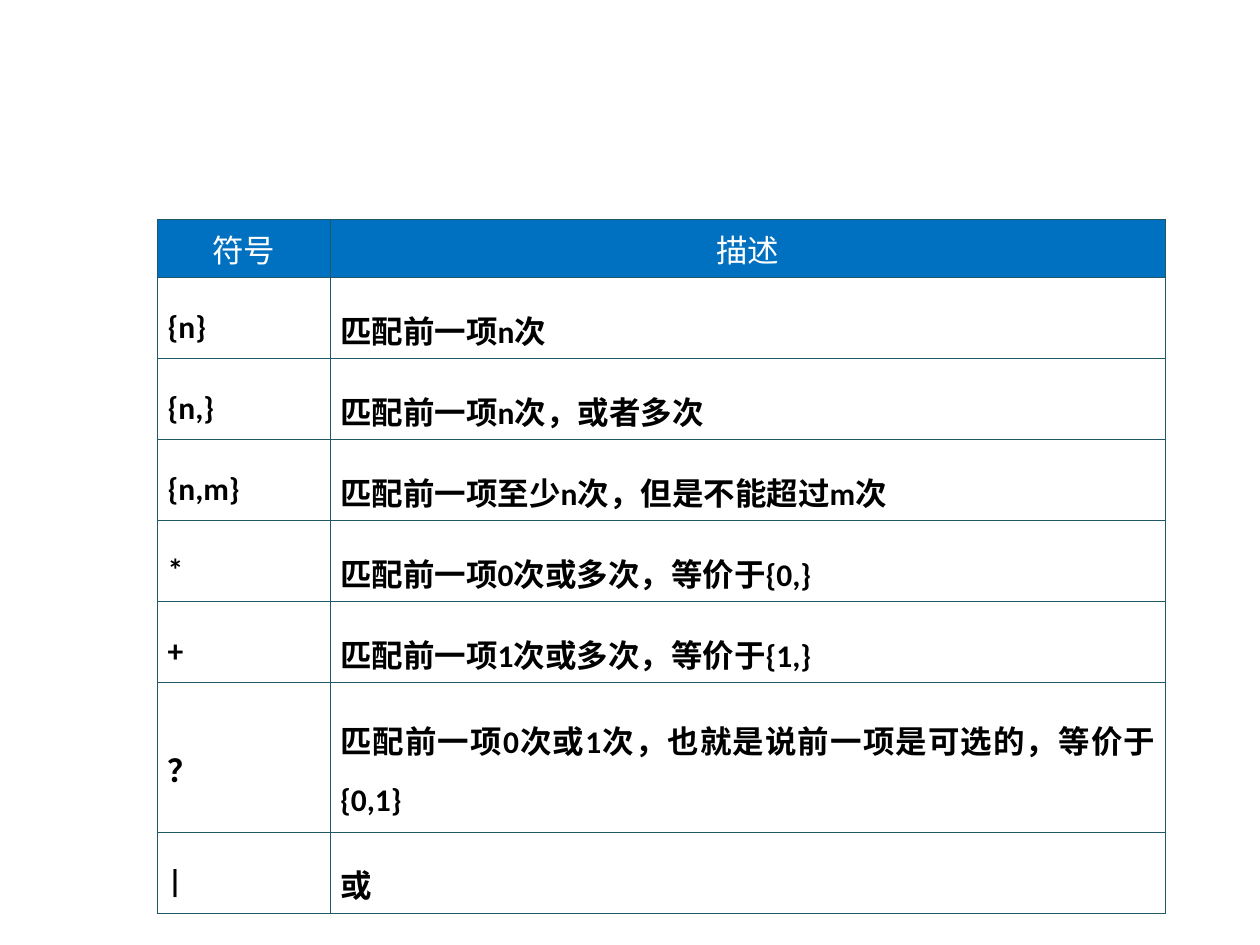
from lxml.etree import SubElement as Sub
from pptx import Presentation
from pptx.dml.color import RGBColor as RGB
from pptx.enum.text import MSO_ANCHOR as Anchor, PP_ALIGN as Align
from pptx.oxml.ns import qn
from pptx.util import Inches, Pt

theme = {
    "font": "Calibri",
    "size": Pt(18),
    "head": RGB.from_string("0070C0"),
    "light": RGB.from_string("FFFFFF"),
    "dark": RGB.from_string("000000"),
    "rule": "205867",
    "width": Pt(0.45),
}

rows = [
    ("符号", "描述"),
    ("{n}", "匹配前一项n次"),
    ("{n,}", "匹配前一项n次，或者多次"),
    ("{n,m}", "匹配前一项至少n次，但是不能超过m次"),
    ("*", "匹配前一项0次或多次，等价于{0,}"),
    ("+", "匹配前一项1次或多次，等价于{1,}"),
    ("？", "匹配前一项0次或1次，也就是说前一项是可选的，等价于{0,1}"),
    ("|", "或"),
]
widths = [1.37, 6.63]
heights = [0.36] + [0.54] * 5 + [1.09, 0.54]

pads = {
    "margin_left": Inches(0.08),
    "margin_right": Inches(0.08),
    "margin_top": Inches(0.05),
    "margin_bottom": Inches(0.05),
}
base = {"name": theme["font"], "size": theme["size"]}
head = {
    "cell": {**pads, "vertical_anchor": Anchor.TOP},
    "para": {"alignment": Align.CENTER, "space_before": Pt(4.5)},
    "font": {**base, "bold": False},
    "color": theme["light"],
}
body = {
    "cell": {**pads, "vertical_anchor": Anchor.MIDDLE},
    "para": {"alignment": Align.JUSTIFY, "line_spacing": 1.5},
    "font": {**base, "bold": True},
    "color": theme["dark"],
}


def style(item, values):
    for name, value in values.items():
        setattr(item, name, value)


def border(cell):
    props = cell._tc.get_or_add_tcPr()
    for side in "LRTB":
        line = Sub(props, qn(f"a:ln{side}"), w=str(theme["width"]))
        fill = Sub(line, qn("a:solidFill"))
        Sub(fill, qn("a:srgbClr"), val=theme["rule"])


deck = Presentation()
deck.slide_width, deck.slide_height = Inches(10), Inches(7.5)
slide = deck.slides.add_slide(deck.slide_layouts[6])
table = slide.shapes.add_table(
    len(rows), len(widths), Inches(1.25), Inches(1.74),
    Inches(sum(widths)), Inches(sum(heights)),
).table
table.horz_banding = False

for col, width in zip(table.columns, widths):
    col.width = Inches(width)

for i, (texts, height) in enumerate(zip(rows, heights)):
    table.rows[i].height = Inches(height)
    look = body if i else head
    for j, text in enumerate(texts):
        cell = table.cell(i, j)
        style(cell, look["cell"])
        border(cell)
        if i:
            cell.fill.background()
        else:
            cell.fill.solid()
            cell.fill.fore_color.rgb = theme["head"]
        para = cell.text_frame.paragraphs[0]
        style(para, look["para"])
        run = para.add_run()
        run.text = text
        style(run.font, look["font"])
        run.font.color.rgb = look["color"]

deck.save("out.pptx")
